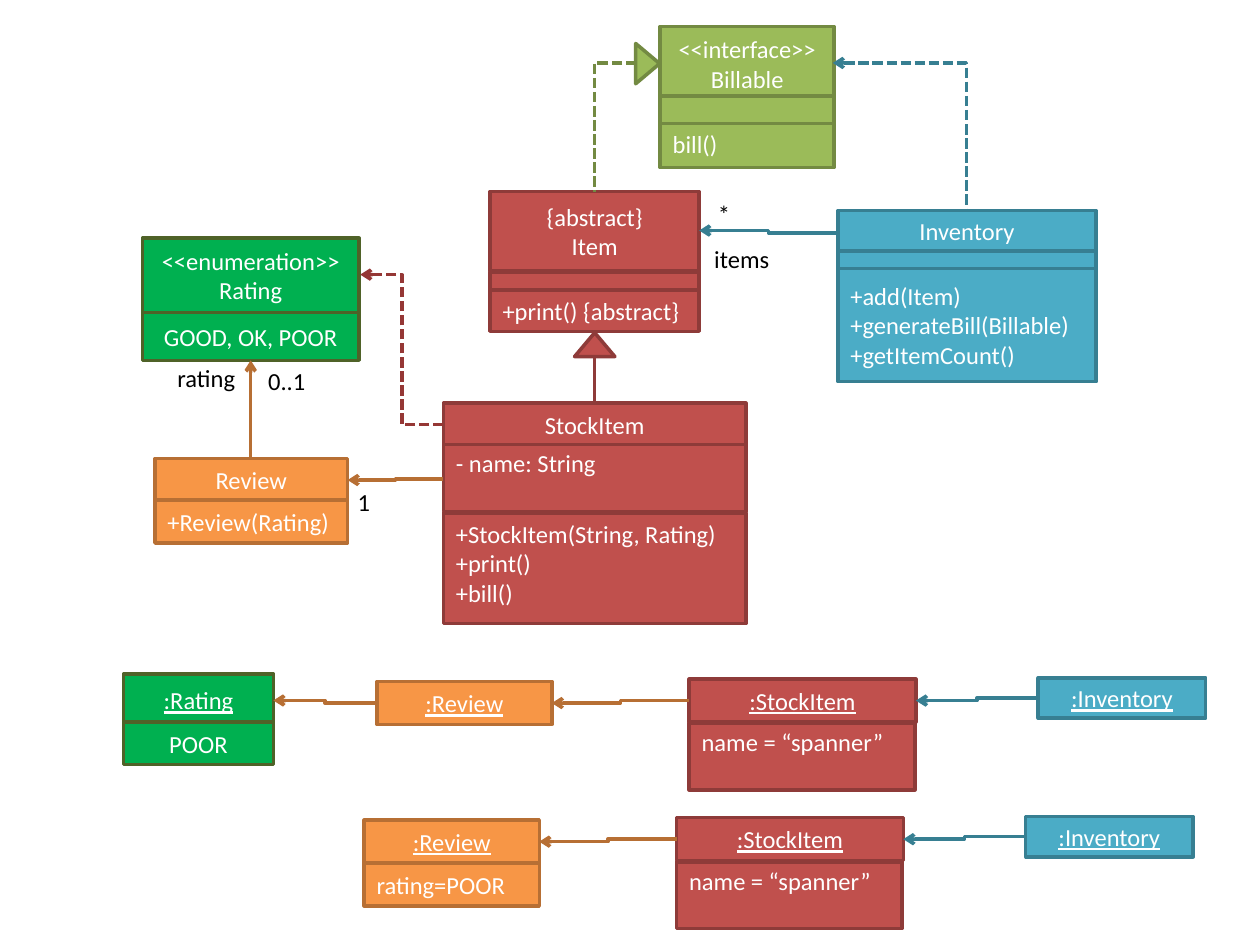
from dataclasses import dataclass
from typing import Optional

from lxml.etree import SubElement
from pptx import Presentation
from pptx.dml.color import RGBColor
from pptx.enum.dml import MSO_LINE
from pptx.enum.shapes import MSO_CONNECTOR as Route, MSO_SHAPE as Preset
from pptx.enum.text import MSO_ANCHOR as Anchor, PP_ALIGN as Align
from pptx.oxml.ns import qn
from pptx.util import Inches, Pt


@dataclass(frozen=True)
class Palette:
    fill: str
    line: str


@dataclass(frozen=True)
class Section:
    """One compartment of a class or object; a top inset pins its text to the top."""
    top: float
    height: float
    text: str = ""
    centred: bool = False
    underlined: bool = False
    top_inset: Optional[float] = None


@dataclass(frozen=True)
class UmlBox:
    left: float
    width: float
    palette: Palette
    sections: tuple[Section, ...]


@dataclass(frozen=True)
class Link:
    start: tuple[float, float]
    end: tuple[float, float]
    color: str
    route: str = "bentConnector3"
    dashed: bool = False
    arrow: Optional[str] = "tailEnd"


@dataclass(frozen=True)
class Label:
    left: float
    top: float
    width: float
    text: str


GREEN = Palette("00B050", "4F6228")
OLIVE = Palette("9BBB59", "738A42")
RED = Palette("C0504D", "8E3B39")
ORANGE = Palette("F79646", "B76F34")
BLUE = Palette("4BACC6", "377F92")

prs = Presentation()
prs.slide_width, prs.slide_height = Inches(10), Inches(7.5)
slide = prs.slides.add_slide(prs.slide_layouts[6])


def rgb(color: str) -> RGBColor:
    return RGBColor.from_string(color)


def write(frame, text: str, color: str, align=Align.LEFT, underlined: bool = False) -> None:
    frame.word_wrap = True
    frame.text = text
    for paragraph in frame.paragraphs:
        paragraph.alignment = align
        for run in paragraph.runs:
            run.font.name, run.font.size = "Calibri", Pt(14)
            run.font.color.rgb = rgb(color)
            if underlined:
                run.font.underline = True


def draw_shape(preset, left: float, top: float, width: float, height: float, palette: Palette):
    shape = slide.shapes.add_shape(
        preset, Inches(left), Inches(top), Inches(width), Inches(height))
    shape.shadow.inherit = False
    shape.fill.solid()
    shape.fill.fore_color.rgb = rgb(palette.fill)
    shape.line.color.rgb = rgb(palette.line)
    shape.line.width = Pt(2)
    return shape


def draw_box(box: UmlBox) -> None:
    for section in box.sections:
        shape = draw_shape(
            Preset.RECTANGLE, box.left, section.top, box.width, section.height, box.palette)
        if not section.text:
            continue
        frame = shape.text_frame
        frame.vertical_anchor = Anchor.MIDDLE
        if section.top_inset is not None:
            frame.vertical_anchor = Anchor.TOP
            frame.margin_top = Inches(section.top_inset)
        align = Align.CENTER if section.centred else Align.LEFT
        write(frame, section.text, "FFFFFF", align, section.underlined)


def draw_link(link: Link) -> None:
    kind = Route.STRAIGHT if link.route == "line" else Route.ELBOW
    ends = (Inches(value) for value in (*link.start, *link.end))
    connector = slide.shapes.add_connector(kind, *ends)
    connector.line.color.rgb = rgb(link.color)
    connector.line.width = Pt(2)
    if link.dashed:
        connector.line.dash_style = MSO_LINE.SQUARE_DOT
    properties = connector._element.spPr
    properties.find(qn("a:prstGeom")).set("prst", link.route)
    if link.arrow:
        SubElement(properties.find(qn("a:ln")), qn(f"a:{link.arrow}"), type="arrow")
    SubElement(properties, qn("a:effectLst"))


def draw_label(label: Label) -> None:
    box = slide.shapes.add_textbox(
        Inches(label.left), Inches(label.top), Inches(label.width), Inches(0.34))
    write(box.text_frame, label.text, "000000")


def heading(top: float, height: float, text: str) -> Section:
    return Section(top, height, text, centred=True)


def object_name(top: float, height: float, text: str) -> Section:
    return Section(top, height, text, centred=True, underlined=True)


def draw_object_chain(left: float, top: float) -> None:
    """Review, stock item and inventory objects, joined from right to left."""
    stock, inventory = left + 2.48, left + 5.25
    draw_box(UmlBox(left, 1.39, ORANGE, (object_name(top + 0.03, 0.34, ":Review"),)))
    draw_box(UmlBox(stock, 1.8, RED, (object_name(top + 0.01, 0.34, ":StockItem"),)))
    draw_box(UmlBox(stock, 1.79, RED, (
        Section(top + 0.36, 0.53, "name = “spanner”", top_inset=0.03),)))
    draw_box(UmlBox(inventory, 1.33, BLUE, (object_name(top, 0.32, ":Inventory"),)))
    draw_link(Link((stock, top + 0.18), (left + 1.39, top + 0.2), ORANGE.line))
    draw_link(Link((inventory, top + 0.16), (stock + 1.8, top + 0.18), BLUE.line))


# Class diagram
classes = (
    UmlBox(5.24, 1.38, OLIVE, (
        heading(0.21, 0.59, "<<interface>>\vBillable"),
        Section(0.95, 0.38, "bill()"),
        Section(0.76, 0.22))),
    UmlBox(3.89, 1.66, RED, (
        heading(1.52, 0.63, "{abstract}\nItem"),
        Section(2.16, 0.33),
        Section(2.3, 0.33, "+print() {abstract}"))),
    UmlBox(6.65, 2.05, BLUE, (
        heading(1.67, 0.32, "Inventory"),
        Section(1.99, 0.15),
        Section(2.13, 0.9, "+add(Item)\n+generateBill(Billable)\n+getItemCount()"))),
    UmlBox(1.13, 1.72, GREEN, (
        heading(1.89, 0.59, "<<enumeration>>\vRating"),
        heading(2.48, 0.38, "GOOD, OK, POOR"))),
    UmlBox(1.23, 1.53, ORANGE, (
        heading(3.64, 0.34, "Review"),
        Section(3.97, 0.34, "+Review(Rating)"))),
    UmlBox(3.52, 2.4, RED, (
        heading(3.2, 0.34, "StockItem"),
        Section(3.53, 0.53, "- name: String", top_inset=0.03),
        Section(4.07, 0.88, "+StockItem(String, Rating)\n+print()\n+bill()", top_inset=0.05))),
)
for uml_class in classes:
    draw_box(uml_class)

# Inheritance triangles
realization = draw_shape(Preset.ISOSCELES_TRIANGLE, 4.98, 0.41, 0.32, 0.19, OLIVE)
realization.rotation = 90
draw_shape(Preset.ISOSCELES_TRIANGLE, 4.56, 2.64, 0.32, 0.19, RED)

# Relations between classes
relations = (
    Link((5.05, 0.5), (4.72, 1.52), OLIVE.line, "bentConnector2", dashed=True, arrow=None),
    Link((6.61, 0.5), (7.67, 1.67), BLUE.line, "bentConnector2", dashed=True, arrow="headEnd"),
    Link((6.65, 1.85), (5.55, 1.83), BLUE.line),
    Link((3.52, 3.8), (2.76, 3.81), ORANGE.line),
    Link((4.72, 3.2), (4.72, 2.83), RED.line, "line", arrow=None),
    Link((1.99, 3.64), (1.99, 2.86), ORANGE.line, "line"),
    Link((3.52, 3.37), (2.86, 2.18), "953735", dashed=True),
)
for relation in relations:
    draw_link(relation)

# Roles and multiplicities
for role in (Label(5.6, 1.53, 0.3, "*"), Label(5.57, 1.89, 0.72, "items"),
             Label(1.31, 2.83, 0.7, "rating"), Label(2.03, 2.86, 0.53, "0..1"),
             Label(2.74, 3.82, 0.3, "1")):
    draw_label(role)

# Object diagrams
draw_object_chain(2.99, 5.38)
draw_box(UmlBox(0.98, 1.19, GREEN, (
    object_name(5.35, 0.41, ":Rating"), heading(5.73, 0.34, "POOR"))))
draw_link(Link((2.99, 5.58), (2.17, 5.56), ORANGE.line))

draw_object_chain(2.89, 6.48)
draw_box(UmlBox(2.89, 1.39, ORANGE, (Section(6.85, 0.34, "rating=POOR"),)))

prs.save("out.pptx")
